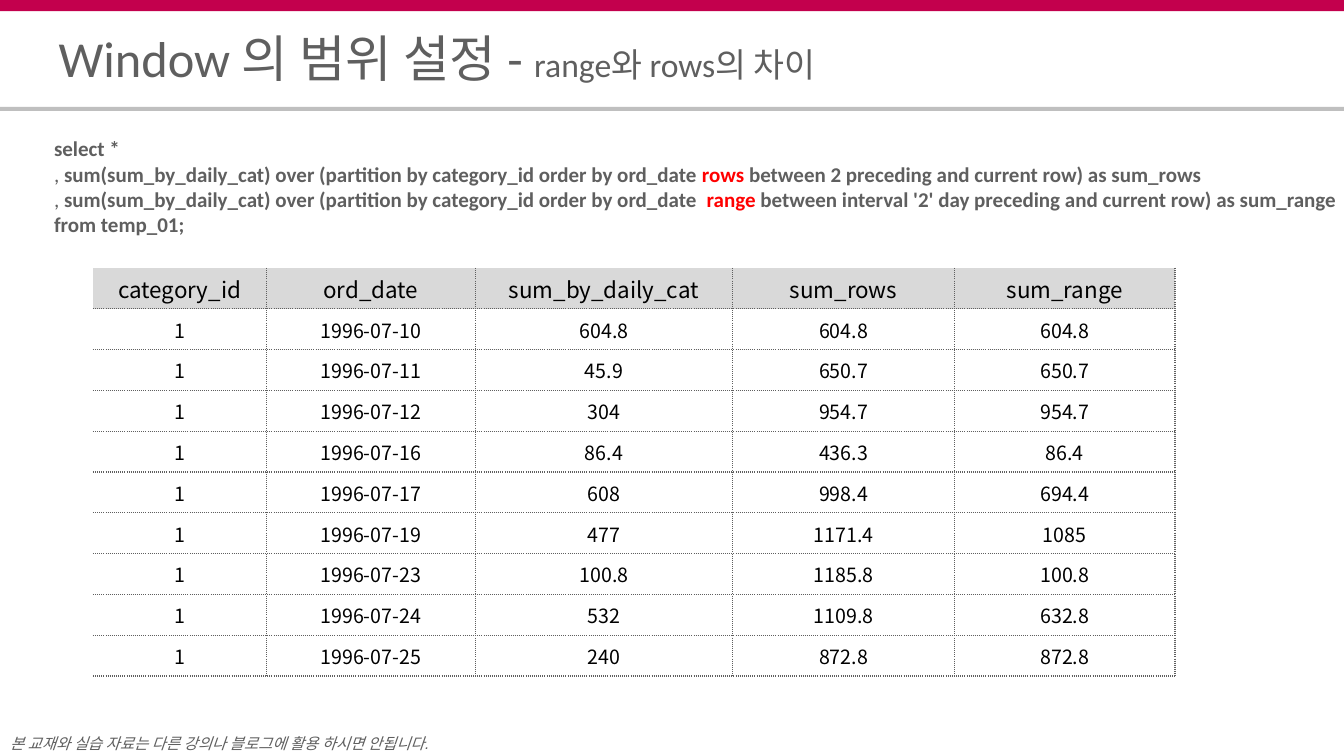
from lxml import etree
from pptx import Presentation
from pptx.dml.color import RGBColor
from pptx.enum.shapes import MSO_SHAPE
from pptx.enum.text import MSO_ANCHOR, MSO_AUTO_SIZE, PP_ALIGN
from pptx.oxml.ns import qn
from pptx.util import Pt

GREY = "5F5F5F"
RED = "FF0000"
TITLE = [("Window 의 범위 설정 - ", 36), ("range와 rows의 차이", 24)]
SUM = "sum(sum_by_daily_cat) over (partition by category_id order by ord_date "
QUERY = [
    [("select *", GREY, True)],
    [(", ", GREY, False), (SUM, GREY, True), ("rows ", RED, True),
     ("between 2 preceding and current row) as sum_rows", GREY, True)],
    [(", ", GREY, False), (SUM + " ", GREY, True), ("range", RED, True),
     (" between interval '2' day preceding and current row) as sum_range", GREY, True)],
    [("from temp_01;", GREY, True)],
]
NOTICE = "본 교재와 실습 자료는 다른 강의나 블로그에 활용 하시면 안됩니다."
COLUMNS = [("category_id", 124), ("ord_date", 149), ("sum_by_daily_cat", 184),
           ("sum_rows", 158.5), ("sum_range", 157.5)]
RECORDS = [
    ("1", "1996-07-10", "604.8", "604.8", "604.8"),
    ("1", "1996-07-11", "45.9", "650.7", "650.7"),
    ("1", "1996-07-12", "304", "954.7", "954.7"),
    ("1", "1996-07-16", "86.4", "436.3", "86.4"),
    ("1", "1996-07-17", "608", "998.4", "694.4"),
    ("1", "1996-07-19", "477", "1171.4", "1085"),
    ("1", "1996-07-23", "100.8", "1185.8", "100.8"),
    ("1", "1996-07-24", "532", "1109.8", "632.8"),
    ("1", "1996-07-25", "240", "872.8", "872.8"),
]


def colour(value):
    """Turn a hex string into a colour."""
    return RGBColor.from_string(value)


def add_span(para, text, size, font="Calibri", tint=GREY, bold=False, italic=False):
    """Add one formatted run to a paragraph."""
    span = para.add_run()
    span.text = text
    span.font.name = font
    span.font.size = Pt(size)
    span.font.bold = bold
    span.font.italic = italic
    span.font.color.rgb = colour(tint)


def set_margins(holder, left, top, right, bottom):
    """Set the inner margins of a text frame or a cell."""
    holder.margin_left, holder.margin_top = Pt(left), Pt(top)
    holder.margin_right, holder.margin_bottom = Pt(right), Pt(bottom)


def add_band(page, left, top, width, height, tint):
    """Draw a plain horizontal band."""
    band = page.shapes.add_shape(MSO_SHAPE.RECTANGLE, Pt(left), Pt(top), Pt(width), Pt(height))
    band.shadow.inherit = False
    band.fill.solid()
    band.fill.fore_color.rgb = colour(tint)
    band.line.fill.background()


def place_title(page, left, top, width, height):
    """Place the title placeholder and fill it."""
    title = page.shapes.title
    title.left, title.top, title.width, title.height = Pt(left), Pt(top), Pt(width), Pt(height)
    frame = title.text_frame
    frame.auto_size = MSO_AUTO_SIZE.NONE
    frame.vertical_anchor = MSO_ANCHOR.MIDDLE
    set_margins(frame, 0, 0, 0, 0)
    para = frame.paragraphs[0]
    para.alignment = PP_ALIGN.LEFT
    para.line_spacing = 0.8
    for text, size in TITLE:
        add_span(para, text, size)


def add_query(page, left, top, width, height):
    """Write the query with its keywords in red."""
    box = page.shapes.add_textbox(Pt(left), Pt(top), Pt(width), Pt(height))
    frame = box.text_frame
    frame.word_wrap = True
    for index, line in enumerate(QUERY):
        para = frame.add_paragraph() if index else frame.paragraphs[0]
        for text, tint, bold in line:
            add_span(para, text, 15, tint=tint, bold=bold)


def add_notice(page, left, top, width, height):
    """Write the usage notice at the foot of the page."""
    box = page.shapes.add_textbox(Pt(left), Pt(top), Pt(width), Pt(height))
    frame = box.text_frame
    frame.word_wrap = True
    set_margins(frame, 0, 0, 0, 0)
    para = frame.paragraphs[0]
    para.line_spacing = 1.5
    add_span(para, NOTICE, 11, font="Arial", italic=True)


def set_borders(cell, dotted_sides):
    """Give a cell dotted lines on the named sides and none elsewhere."""
    properties = cell._tc.get_or_add_tcPr()
    for index, side in enumerate("LRTB"):
        line = etree.Element(qn(f"a:ln{side}"), w=str(Pt(1)))
        if side in dotted_sides:
            fill = etree.SubElement(line, qn("a:solidFill"))
            etree.SubElement(fill, qn("a:srgbClr"), val=GREY)
            etree.SubElement(line, qn("a:prstDash"), val="sysDot")
        else:
            etree.SubElement(line, qn("a:noFill"))
        properties.insert(index, line)


def fill_cell(cell, text, is_header, is_first):
    """Format and fill one table cell."""
    set_margins(cell, 0.7, 0.7, 0.7, 0)
    cell.vertical_anchor = MSO_ANCHOR.MIDDLE
    if is_header:
        cell.fill.solid()
        cell.fill.fore_color.rgb = colour("D9D9D9")
    else:
        cell.fill.background()
    set_borders(cell, "RB" + ("" if is_header else "T") + ("" if is_first else "L"))
    para = cell.text_frame.paragraphs[0]
    para.alignment = PP_ALIGN.CENTER
    add_span(para, text, 16 if is_header else 14, font="Noto Sans CJK KR", tint="000000")


def add_results(page, left, top, width, height):
    """Build the table of query results."""
    rows = [[name for name, _ in COLUMNS], *RECORDS]
    table = page.shapes.add_table(len(rows), len(COLUMNS), Pt(left), Pt(top),
                                  Pt(width), Pt(height)).table
    table.first_row = True
    table.horz_banding = False
    for column, (_, column_width) in zip(table.columns, COLUMNS):
        column.width = Pt(column_width)
    for row_index, values in enumerate(rows):
        table.rows[row_index].height = Pt(height / len(rows))
        for column_index, text in enumerate(values):
            fill_cell(table.cell(row_index, column_index), text,
                      row_index == 0, column_index == 0)


def main():
    """Build the slide and save it."""
    deck = Presentation()
    deck.slide_width, deck.slide_height = Pt(960), Pt(540)
    page = deck.slides.add_slide(deck.slide_layouts[5])
    add_band(page, 0, 0, 960, 8, "C3004D")
    add_band(page, 0, 76.3, 960, 2.9, "BFBFBF")
    add_notice(page, 7.2, 517.7, 346, 22)
    place_title(page, 41.8, 23.8, 876, 41.8)
    add_query(page, 31.5, 93.6, 945.5, 80)
    add_results(page, 66.4, 191.4, sum(width for _, width in COLUMNS), 291.5)
    deck.save("out.pptx")


if __name__ == "__main__":
    main()
